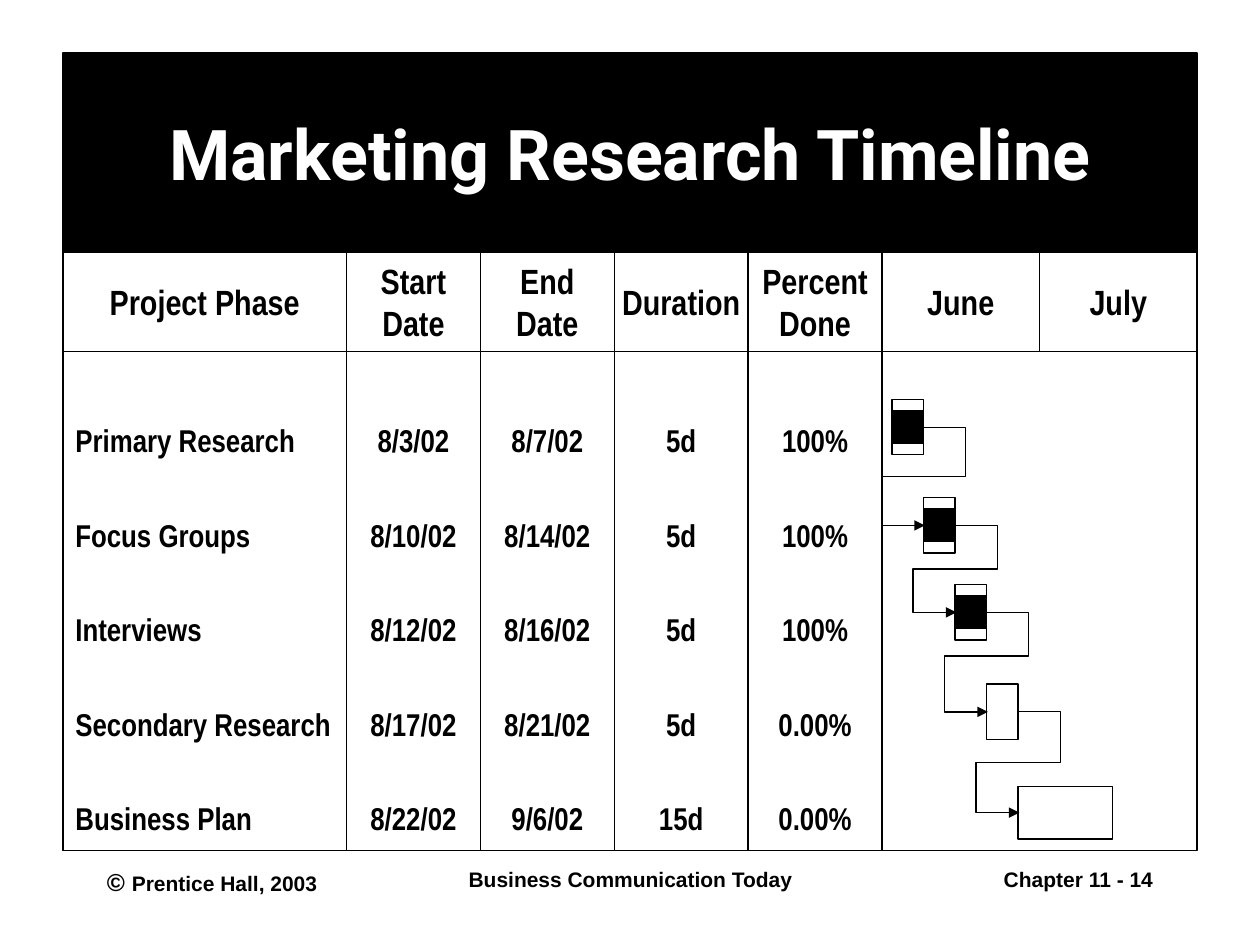
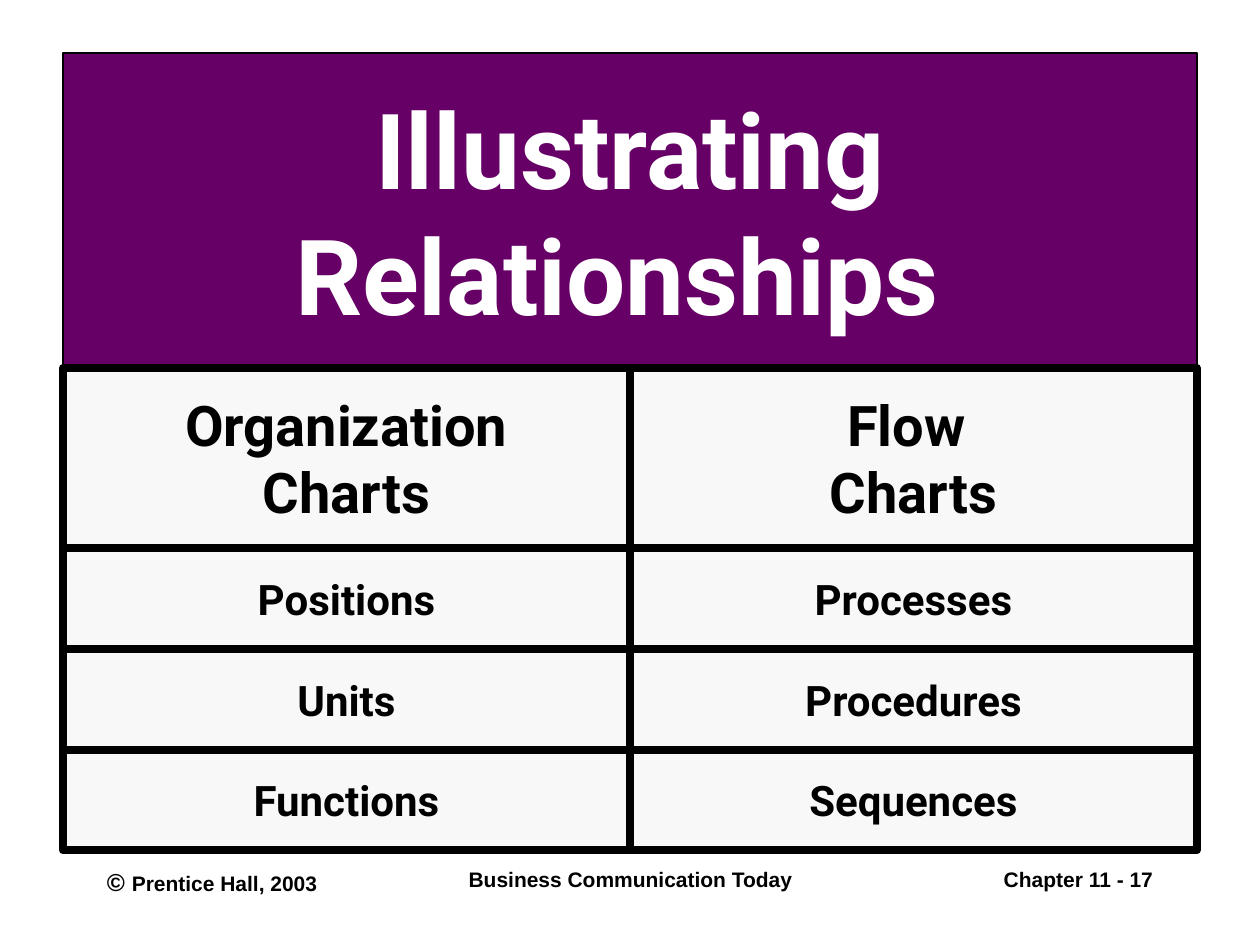
"""Build a timeline slide and a relationships slide that share one style."""
from dataclasses import dataclass

from lxml import etree
from pptx import Presentation
from pptx.dml.color import RGBColor
from pptx.enum.shapes import MSO_CONNECTOR, MSO_SHAPE
from pptx.enum.text import MSO_ANCHOR, PP_ALIGN
from pptx.oxml.ns import qn
from pptx.util import Inches, Pt

RECT, ELBOW = MSO_SHAPE.RECTANGLE, MSO_CONNECTOR.ELBOW
LEFT, CENTER, RIGHT = PP_ALIGN.LEFT, PP_ALIGN.CENTER, PP_ALIGN.RIGHT
TOP, MIDDLE = MSO_ANCHOR.TOP, MSO_ANCHOR.MIDDLE

BLACK, WHITE, PURPLE, PALE = "000000", "FFFFFF", "660066", "F8F8F8"
SANS, NARROW, DISPLAY = "Arial", "Arial Narrow", "Roboto"
MARGIN, WIDTH, BAND_TOP, BOTTOM = 0.5, 9, 0.42, 6.75
THIN, THICK = 0.75, 4.5


@dataclass(frozen=True)
class Style:
    font: str
    size: float
    color: str = BLACK
    align: PP_ALIGN = CENTER
    spacing: float | None = None


@dataclass(frozen=True)
class Box:
    left: float
    top: float
    width: float
    height: float
    fill: str = WHITE
    border: float = THIN


@dataclass(frozen=True)
class Column:
    heading: str
    entries: tuple[str, ...]
    width: float = 1.0625
    align: PP_ALIGN = CENTER


@dataclass(frozen=True)
class Bar:
    top: float
    width: float = 0.25
    height: float = 0.44
    done: bool = False
    bend: float = 0.5


HEADING = Style(NARROW, 20)
FOOTER_SIZE, SYMBOL_SIZE = 12, 14
COLUMNS = (
    Column("Project Phase", ("Primary Research", "Focus Groups", "Interviews",
                             "Secondary Research", "Business Plan"), 2.25, LEFT),
    Column("Start\nDate", ("8/3/02", "8/10/02", "8/12/02", "8/17/02", "8/22/02")),
    Column("End\nDate", ("8/7/02", "8/14/02", "8/16/02", "8/21/02", "9/6/02")),
    Column("Duration", ("5d", "5d", "5d", "5d", "15d")),
    Column("Percent\nDone", ("100%", "100%", "100%", "0.00%", "0.00%")),
)
MONTHS = ("June", "July")
BARS = (Bar(3.17, done=True), Bar(3.95, done=True), Bar(4.64, done=True, bend=0.44),
        Bar(5.43), Bar(6.24, width=0.75, height=0.42))
CHART_KINDS = (
    ("Organization\nCharts", "Positions", "Units", "Functions"),
    ("Flow \nCharts", "Processes", "Procedures", "Sequences"),
)


def rgb(value: str) -> RGBColor:
    """Turn a hex string into a colour."""
    return RGBColor.from_string(value)


def apply(target, values: dict) -> None:
    """Set each named attribute on the target."""
    for name, value in values.items():
        setattr(target, name, value)


def add_run(p, text: str, style: Style) -> None:
    """Add text to a paragraph, turning vertical tabs into line breaks."""
    for i, part in enumerate(text.split("\v")):
        if i:
            p.add_line_break()
        r = p.add_run()
        r.text = part
        apply(r.font, {"name": style.font, "size": Pt(style.size), "bold": True})
        r.font.color.rgb = rgb(style.color)


def write(tf, text: str, style: Style, anchor=MIDDLE, wrap: bool = False) -> None:
    """Write one paragraph per line of text."""
    apply(tf, {"word_wrap": wrap, "vertical_anchor": anchor})
    for i, line in enumerate(text.split("\n")):
        p = tf.add_paragraph() if i else tf.paragraphs[0]
        apply(p, {"alignment": style.align, "line_spacing": style.spacing})
        add_run(p, line, style)


def add_box(s, box: Box, text: str = "", style: Style = HEADING, wrap: bool = False) -> None:
    """Draw a bordered rectangle with optional text."""
    sp = s.shapes.add_shape(RECT, *map(Inches, (box.left, box.top, box.width, box.height)))
    sp.shadow.inherit = False
    sp.fill.solid()
    sp.fill.fore_color.rgb = rgb(box.fill)
    sp.line.color.rgb = rgb(BLACK)
    sp.line.width = Pt(box.border)
    if text:
        write(sp.text_frame, text, style, wrap=wrap)


def add_footer(s, number: int) -> None:
    """Write the copyright, course title and page number."""
    items = ((0.75, 2.08, "", LEFT),
             (3.42, 3.17, "Business Communication Today", CENTER),
             (7.17, 2.08, f"Chapter 11 - {number}", RIGHT))
    for left, width, text, align in items:
        tf = s.shapes.add_textbox(*map(Inches, (left, 6.83, width, 0.5))).text_frame
        if text:
            write(tf, text, Style(SANS, FOOTER_SIZE, align=align), TOP, True)
        else:
            tf.word_wrap = True
            add_run(tf.paragraphs[0], "© ", Style(SANS, SYMBOL_SIZE))
            add_run(tf.paragraphs[0], "Prentice Hall, 2003", Style(SANS, FOOTER_SIZE))


def add_base(prs, title: str, fill: str, size: float, height: float, number: int):
    """Add a slide with its title band and footer."""
    s = prs.slides.add_slide(prs.slide_layouts[6])
    add_footer(s, number)
    add_box(s, Box(MARGIN, BAND_TOP, WIDTH, height, fill), title,
            Style(DISPLAY, size, WHITE), wrap=True)
    return s


def add_link(s, x: float, y1: float, y2: float, bend: float) -> None:
    """Draw an arrow that loops back from one bar to the next."""
    run, reach = 0.01, 0.34
    cxn = s.shapes.add_connector(ELBOW, *map(Inches, (x, y1, x + run, y2)))
    cxn.line.color.rgb = rgb(BLACK)
    cxn.line.width = Pt(THIN)
    spPr = cxn._element.spPr
    geom = spPr.find(qn("a:prstGeom"))
    geom.set("prst", "bentConnector5")
    guides = geom.find(qn("a:avLst"))
    for i, value in enumerate((reach / run, bend, -reach / run), 1):
        etree.SubElement(guides, qn("a:gd"), name=f"adj{i}", fmla=f"val {round(value * 100000)}")
    etree.SubElement(spPr.find(qn("a:ln")), qn("a:tailEnd"), type="triangle")
    etree.SubElement(spPr, qn("a:effectLst"))


def add_gantt(s) -> None:
    """Draw the schedule bars and the arrows between them."""
    start, step, done_height = 7.08, 0.25, 0.26
    centers = [bar.top + bar.height / 2 for bar in BARS]
    for i, (bar, center) in enumerate(zip(BARS, centers)):
        left = start + i * step
        add_box(s, Box(left, bar.top, bar.width, bar.height))
        if bar.done:
            add_box(s, Box(left, center - done_height / 2, bar.width, done_height, BLACK))
    for i, bar in enumerate(BARS[:-1]):
        add_link(s, start + (i + 1) * step, centers[i], centers[i + 1], bar.bend)


def build_timeline(prs) -> None:
    """Build the project timeline."""
    s = add_base(prs, "Marketing Research Timeline", BLACK, 40, 1.58, 14)
    top, head = 2, 0.79
    add_box(s, Box(MARGIN, top, WIDTH, BOTTOM - top))
    left = MARGIN
    for col in COLUMNS:
        add_box(s, Box(left, top + head, col.width, BOTTOM - top - head),
                "\n".join(col.entries), Style(NARROW, 18, align=col.align, spacing=2.5))
        add_box(s, Box(left, top, col.width, head), col.heading)
        left += col.width
    for month in MONTHS:
        add_box(s, Box(left, top, 1.25, head), month)
        left += 1.25
    add_gantt(s)


def build_relationships(prs) -> None:
    """Build the two-column comparison of chart kinds."""
    s = add_base(prs, "Illustrating\vRelationships ", PURPLE, 60, 2.5, 17)
    top, head, row = 2.92, 1.43, 0.8
    width = WIDTH / len(CHART_KINDS)
    for i, (heading, *uses) in enumerate(CHART_KINDS):
        left = MARGIN + i * width
        add_box(s, Box(left, top, width, head, PALE, THICK), heading, Style(DISPLAY, 32))
        for j, use in enumerate(uses):
            add_box(s, Box(left, top + head + j * row, width, row, PALE, THICK),
                    use, Style(DISPLAY, 24))


def main() -> None:
    """Create and save the presentation."""
    prs = Presentation()
    apply(prs, {"slide_width": Inches(10), "slide_height": Inches(7.5)})
    build_timeline(prs)
    build_relationships(prs)
    prs.save("out.pptx")


if __name__ == "__main__":
    main()
